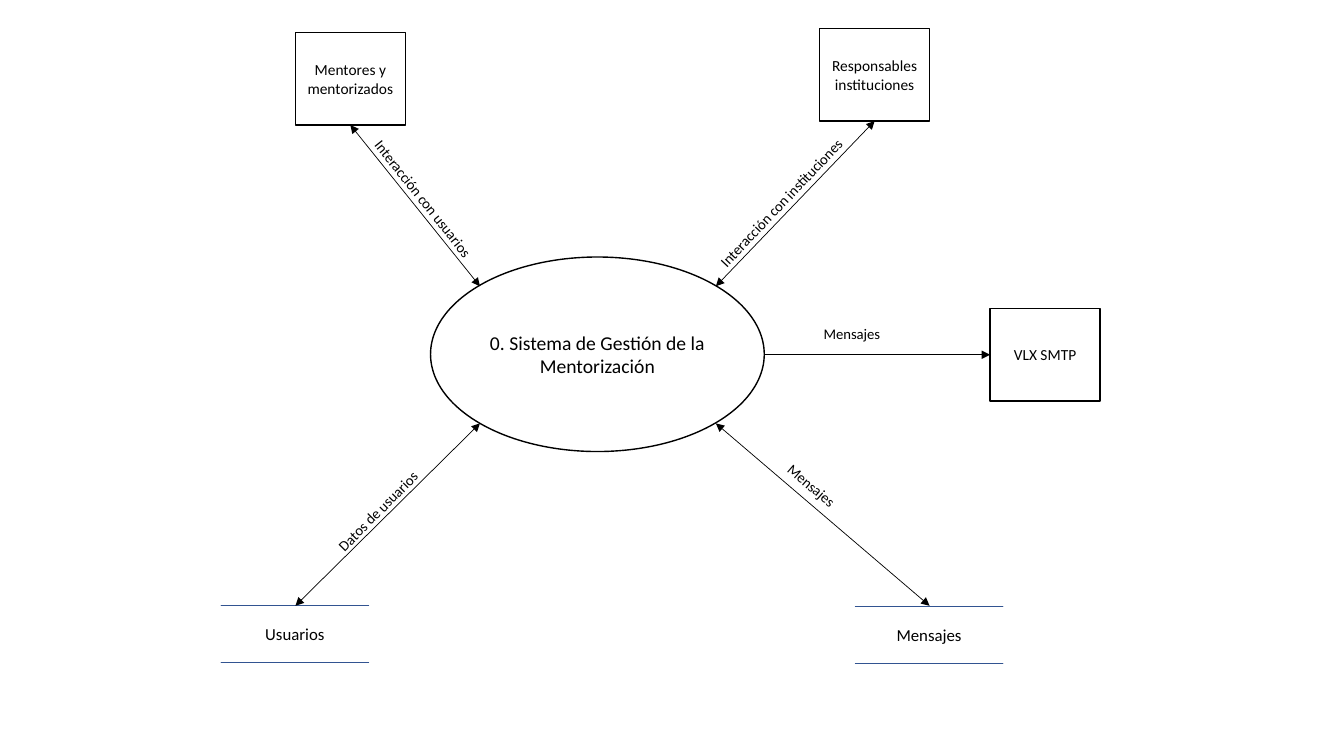
from dataclasses import dataclass
from typing import Optional

from lxml import etree
from pptx import Presentation
from pptx.dml.color import RGBColor
from pptx.enum.shapes import MSO_CONNECTOR, MSO_SHAPE
from pptx.enum.text import MSO_ANCHOR, MSO_AUTO_SIZE, PP_ALIGN
from pptx.oxml.ns import qn
from pptx.util import Emu, Pt

RECT = MSO_SHAPE.RECTANGLE
OVAL = MSO_SHAPE.OVAL
EQUAL = MSO_SHAPE.MATH_EQUAL
STRAIGHT = MSO_CONNECTOR.STRAIGHT
MIDDLE = MSO_ANCHOR.MIDDLE
CENTER = PP_ALIGN.CENTER
LEFT = PP_ALIGN.LEFT
GROW = MSO_AUTO_SIZE.SHAPE_TO_FIT_TEXT

BLACK = RGBColor(0x00, 0x00, 0x00)
WHITE = RGBColor(0xFF, 0xFF, 0xFF)
BLUE = RGBColor(0x32, 0x54, 0x91)
FONT = "Calibri"
SCALE = 9144  # EMU per px, 100 px to the inch


@dataclass
class Node:
    text: str
    x: int
    y: int
    w: int = 109
    h: int = 92
    kind: int = RECT
    size: float = 11
    fill: RGBColor = WHITE
    line: RGBColor = BLACK
    width: float = 1


@dataclass
class Flow:
    start: tuple[int, int]
    end: tuple[int, int]
    both: bool = True
    source: Optional[str] = None  # box left from its bottom side
    target: Optional[str] = None  # box entered by its left side


@dataclass
class Label:
    text: str
    x: int
    y: int
    turn: float = 0
    w: int = 175
    h: int = 28


def store(text: str, x: int, y: int) -> Node:
    return Node(text, x, y, 199, 106, EQUAL, 12, BLACK, BLUE, 0)


USERS = "Mentores y mentorizados"
STAFF = "Responsables instituciones"
MAIL = "VLX SMTP"

NODES = [
    Node(USERS, 293, 32),
    Node(STAFF, 813, 28),
    Node(MAIL, 982, 306),
    Node("0. Sistema de Gestión de la Mentorización",
         427, 255, 331, 193, OVAL, 14),
    store("Usuarios", 193, 576),
    store("Mensajes", 822, 577),
]
FLOWS = [
    Flow((710, 420), (922, 601)),
    Flow((476, 420), (293, 601)),
    Flow((347, 124), (476, 284), source=USERS),
    Flow((867, 120), (710, 284), source=STAFF),
    Flow((758, 352), (982, 352), both=False, target=MAIL),
]
LABELS = [
    Label("Interacción con usuarios", 336, 188, 51.4),
    Label("Interacción con instituciones", 679, 183, 313.5, 200),
    Label("Datos de usuarios", 305, 475, 314.6),
    Label("Mensajes", 755, 500, 40.6),
    Label("Mensajes", 807, 317),
]


def px(*values: int) -> list[Emu]:
    return [Emu(value * SCALE) for value in values]


def write(frame, text: str, size: float, align: int) -> None:
    frame.word_wrap = True
    para = frame.paragraphs[0]
    para.alignment = align
    run = para.add_run()
    run.text = text
    run.font.name = FONT
    run.font.size = Pt(size)
    run.font.color.rgb = BLACK


def draw_node(shapes, node: Node):
    shape = shapes.add_shape(node.kind, *px(node.x, node.y, node.w, node.h))
    shape.shadow.inherit = False
    shape.fill.solid()
    shape.fill.fore_color.rgb = node.fill
    shape.line.color.rgb = node.line
    shape.line.width = Pt(node.width)
    if node.kind == EQUAL:
        # Hairline bars, set wide apart
        shape.adjustments[0] = 0
        shape.adjustments[1] = 0.53
    shape.text_frame.vertical_anchor = MIDDLE
    write(shape.text_frame, node.text, node.size, CENTER)
    return shape


def draw_flow(shapes, flow: Flow, boxes: dict) -> None:
    link = shapes.add_connector(STRAIGHT, *px(*flow.start, *flow.end))
    if flow.source:
        link.begin_connect(boxes[flow.source], 2)
    if flow.target:
        link.end_connect(boxes[flow.target], 1)
    link.line.color.rgb = BLACK
    link.line.width = Pt(0.5)
    # Arrowheads, and no shadow
    line = link.line._get_or_add_ln()
    for tag in ("a:headEnd", "a:tailEnd") if flow.both else ("a:tailEnd",):
        etree.SubElement(line, qn(tag), type="triangle")
    etree.SubElement(link._element.spPr, qn("a:effectLst"))


def draw_label(shapes, label: Label) -> None:
    box = shapes.add_textbox(*px(label.x, label.y, label.w, label.h))
    box.rotation = label.turn
    box.text_frame.auto_size = GROW
    write(box.text_frame, label.text, 10.5, LEFT)


def main() -> None:
    deck = Presentation()
    deck.slide_width, deck.slide_height = px(1333, 750)
    shapes = deck.slides.add_slide(deck.slide_layouts[6]).shapes

    # System, outside parties and data stores
    boxes = {node.text: draw_node(shapes, node) for node in NODES}
    # Data flows and their names
    for flow in FLOWS:
        draw_flow(shapes, flow, boxes)
    for label in LABELS:
        draw_label(shapes, label)

    deck.save("out.pptx")


if __name__ == "__main__":
    main()
